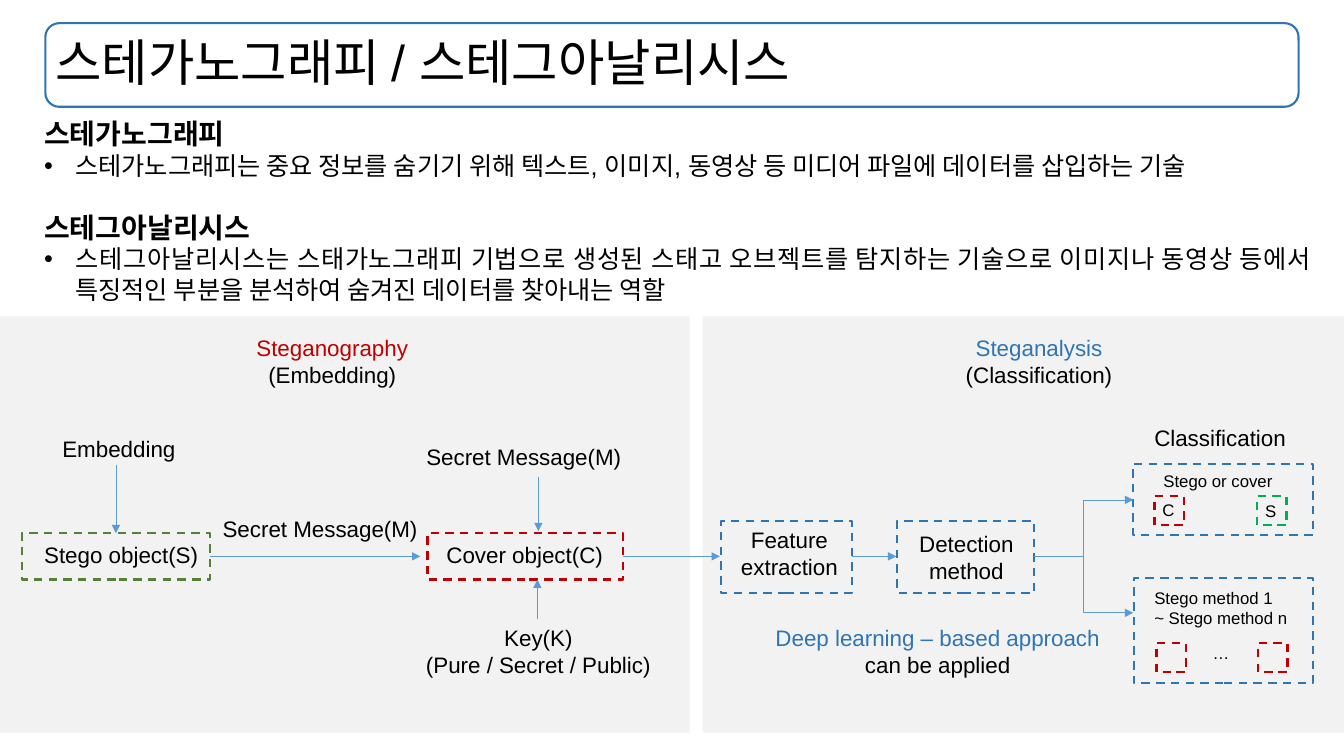
from dataclasses import dataclass
from lxml.etree import SubElement
from pptx import Presentation
from pptx.dml.color import RGBColor
from pptx.enum.dml import MSO_LINE_DASH_STYLE as Dash
from pptx.enum.shapes import MSO_AUTO_SHAPE_TYPE as ShapeType
from pptx.enum.shapes import MSO_CONNECTOR_TYPE as ConnectorType
from pptx.enum.text import MSO_ANCHOR as Anchor
from pptx.enum.text import PP_ALIGN as Align
from pptx.oxml.ns import qn
from pptx.shapes.autoshape import Shape
from pptx.slide import Slide
from pptx.text.text import _Paragraph as Paragraph
from pptx.util import Emu, Pt

PX = 9144
FONT = "Arial"
COLORS = {
    "black": "000000",
    "panel": "F2F2F2",
    "blue": "2E75B6",
    "arrow": "5B9BD5",
    "red": "C00000",
    "olive": "548235",
    "green": "00B050",
}


@dataclass(frozen=True)
class Box:
    left: int
    top: int
    width: int
    height: int
    line: str = ""
    fill: str = ""
    dashed: bool = True
    kind: ShapeType = ShapeType.RECTANGLE


@dataclass(frozen=True)
class Label:
    left: int
    top: int
    width: int
    height: int
    lines: tuple[str, ...]
    size: int = 16
    align: Align = Align.LEFT
    first_color: str = "black"


@dataclass(frozen=True)
class Arrow:
    start: tuple[int, int]
    end: tuple[int, int]
    kind: ConnectorType = ConnectorType.STRAIGHT


@dataclass(frozen=True)
class Topic:
    heading: str
    detail: str
    space_before: int = 0


TITLE = Label(45, 23, 1243, 83, ("스테가노그래피 / 스테그아날리시스",), 36)
TOPICS = (
    Topic(
        "스테가노그래피",
        "스테가노그래피는 중요 정보를 숨기기 위해 텍스트, 이미지, 동영상 등 미디어 파일에 데이터를 삽입하는 기술",
    ),
    Topic(
        "스테그아날리시스",
        "스테그아날리시스는 스태가노그래피 기법으로 생성된 스태고 오브젝트를 탐지하는 기술으로 "
        "이미지나 동영상 등에서 특징적인 부분을 분석하여 숨겨진 데이터를 찾아내는 역할",
        21,
    ),
)
BOXES = (
    Box(45, 23, 1243, 83, "blue", dashed=False, kind=ShapeType.ROUNDED_RECTANGLE),
    Box(697, 314, 637, 413, fill="panel"),
    Box(0, 314, 684, 413, fill="panel"),
    Box(22, 529, 186, 46, "olive"),
    Box(424, 529, 194, 46, "red"),
    Box(715, 517, 130, 71, "blue"),
    Box(890, 517, 136, 71, "blue"),
    Box(1124, 460, 178, 71, "blue"),
    Box(1125, 573, 177, 105, "blue"),
    Box(1145, 492, 29, 29, "red"),
    Box(1247, 492, 29, 29, "green"),
    Box(1147, 638, 29, 29, "red"),
    Box(1248, 638, 29, 29, "red"),
)
FLOW_Y = 552
ARROWS = (
    Arrow((208, FLOW_Y), (417, FLOW_Y)),
    Arrow((618, FLOW_Y), (714, FLOW_Y)),
    Arrow((845, FLOW_Y), (889, FLOW_Y)),
    Arrow((115, 461), (115, 529)),
    Arrow((534, 473), (534, 527)),
    Arrow((533, 614), (533, 575)),
    Arrow((1026, FLOW_Y), (1124, FLOW_Y - 56), ConnectorType.ELBOW),
    Arrow((1026, FLOW_Y), (1124, FLOW_Y + 56), ConnectorType.ELBOW),
)
LABELS = (
    Label(34, 532, 194, 37, ("Stego object(S)",)),
    Label(433, 532, 197, 37, ("Cover object(C)",)),
    Label(52, 427, 148, 37, ("Embedding",)),
    Label(211, 506, 240, 37, ("Secret Message(M)",)),
    Label(413, 435, 240, 37, ("Secret Message(M)",)),
    Label(397, 614, 274, 64, ("Key(K)", "(Pure / Secret / Public)"), align=Align.CENTER),
    Label(718, 517, 130, 64, ("Feature", "extraction"), align=Align.CENTER),
    Label(895, 521, 127, 64, ("Detection", "method"), align=Align.CENTER),
    Label(737, 614, 386, 64, ("Deep learning – based approach", "can be applied"),
          align=Align.CENTER, first_color="blue"),
    Label(1135, 416, 156, 37, ("Classification",)),
    Label(1144, 462, 132, 30, ("Stego or cover",), 12),
    Label(1143, 491, 28, 30, ("C",), 12),
    Label(1245, 492, 28, 30, ("S",), 12),
    Label(1135, 578, 158, 71, ("Stego method 1", "~ Stego method n"), 12),
    Label(1190, 633, 42, 30, ("…",), 12, Align.CENTER),
    Label(235, 327, 189, 64, ("Steganography", "(Embedding)"),
          align=Align.CENTER, first_color="red"),
    Label(936, 327, 189, 64, ("Steganalysis", "(Classification)"),
          align=Align.CENTER, first_color="blue"),
)


def px(value: int) -> Emu:
    return Emu(value * PX)


def rgb(name: str) -> RGBColor:
    return RGBColor.from_string(COLORS[name])


def add_run(paragraph: Paragraph, text: str, size: int, color: str = "black", bold: bool = False) -> None:
    run = paragraph.add_run()
    run.text = text
    run.font.name = FONT
    run.font.size = Pt(size)
    run.font.bold = bold
    run.font.color.rgb = rgb(color)


def next_paragraph(shape: Shape, index: int) -> Paragraph:
    frame = shape.text_frame
    return frame.add_paragraph() if index else frame.paragraphs[0]


def add_text_box(slide: Slide, left: int, top: int, width: int, height: int) -> Shape:
    shape = slide.shapes.add_textbox(px(left), px(top), px(width), px(height))
    shape.text_frame.word_wrap = True
    return shape


def draw_box(slide: Slide, box: Box) -> None:
    shape = slide.shapes.add_shape(box.kind, px(box.left), px(box.top), px(box.width), px(box.height))
    shape.shadow.inherit = False
    if box.fill:
        shape.fill.solid()
        shape.fill.fore_color.rgb = rgb(box.fill)
    else:
        shape.fill.background()
    if box.line:
        shape.line.color.rgb = rgb(box.line)
        shape.line.width = Pt(1.5)
        if box.dashed:
            shape.line.dash_style = Dash.DASH
    else:
        shape.line.fill.background()


def draw_label(slide: Slide, label: Label) -> Shape:
    shape = add_text_box(slide, label.left, label.top, label.width, label.height)
    for index, text in enumerate(label.lines):
        paragraph = next_paragraph(shape, index)
        paragraph.alignment = label.align
        add_run(paragraph, text, label.size, "black" if index else label.first_color)
    return shape


def draw_arrow(slide: Slide, arrow: Arrow) -> None:
    connector = slide.shapes.add_connector(arrow.kind, *map(px, arrow.start + arrow.end))
    connector.line.color.rgb = rgb("arrow")
    connector.line.width = Pt(0.5)
    SubElement(connector.line._get_or_add_ln(), qn("a:tailEnd"), type="triangle")
    SubElement(connector._element.spPr, qn("a:effectLst"))


def draw_topics(slide: Slide) -> None:
    shape = add_text_box(slide, 34, 111, 1277, 199)
    for index, topic in enumerate(TOPICS):
        heading = next_paragraph(shape, index)
        heading.alignment = Align.JUSTIFY
        heading.space_before = Pt(topic.space_before)
        add_run(heading, topic.heading, 20, bold=True)
        detail = shape.text_frame.add_paragraph()
        detail.alignment = Align.JUSTIFY
        properties = detail._p.get_or_add_pPr()
        properties.set("marL", str(px(31)))
        properties.set("indent", str(px(-31)))
        SubElement(properties, qn("a:buFont"), typeface=FONT)
        SubElement(properties, qn("a:buChar"), char="•")
        add_run(detail, topic.detail, 18)


def main() -> None:
    presentation = Presentation()
    presentation.slide_width = px(1333)
    presentation.slide_height = px(750)
    slide = presentation.slides.add_slide(presentation.slide_layouts[6])
    for box in BOXES:
        draw_box(slide, box)
    title = draw_label(slide, TITLE)
    title.text_frame.vertical_anchor = Anchor.MIDDLE
    title.text_frame.paragraphs[0].line_spacing = 0.9
    for arrow in ARROWS:
        draw_arrow(slide, arrow)
    for label in LABELS:
        draw_label(slide, label)
    draw_topics(slide)
    presentation.save("out.pptx")


if __name__ == "__main__":
    main()
